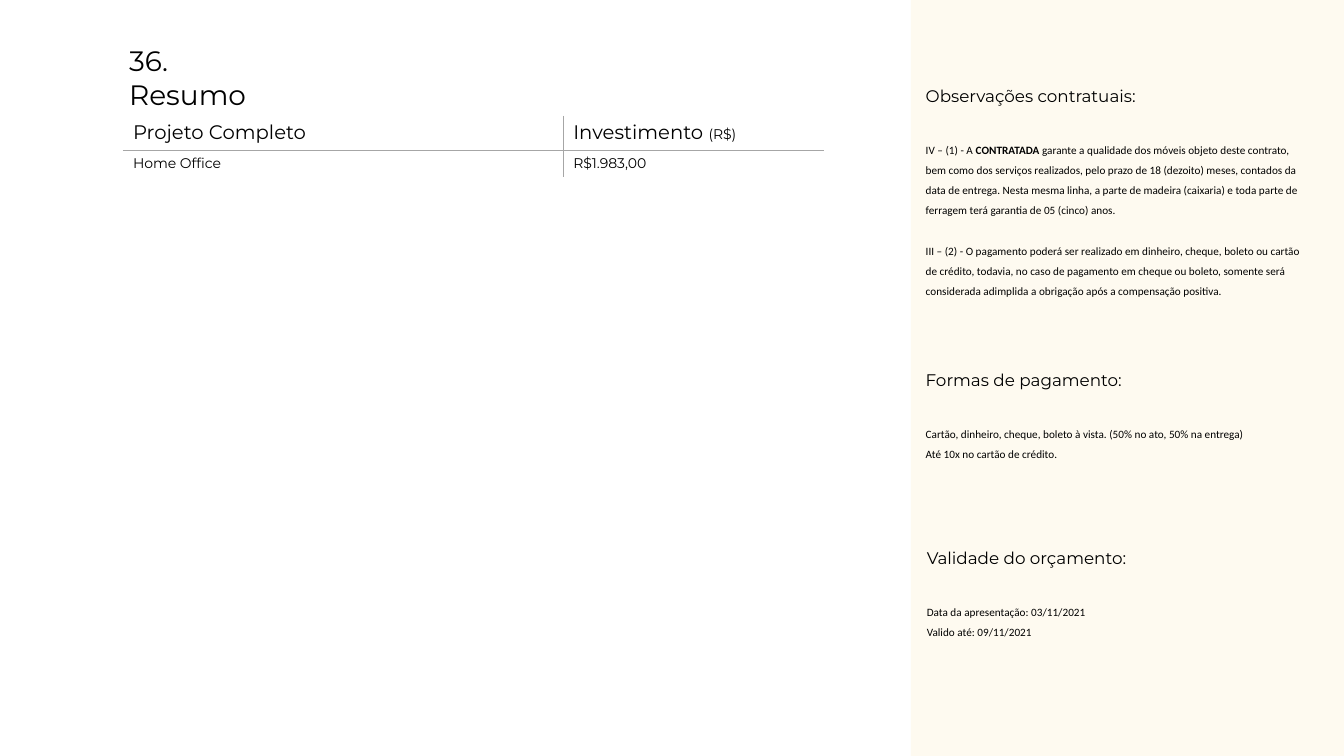
from lxml import etree
from pptx import Presentation
from pptx.dml.color import RGBColor
from pptx.enum.shapes import MSO_SHAPE
from pptx.enum.text import MSO_ANCHOR, MSO_AUTO_SIZE, PP_ALIGN
from pptx.oxml.ns import qn
from pptx.util import Inches, Pt

RECT = MSO_SHAPE.RECTANGLE
TOP, MIDDLE = MSO_ANCHOR.TOP, MSO_ANCHOR.MIDDLE
NO_FIT = MSO_AUTO_SIZE.NONE
LEFT = PP_ALIGN.LEFT

TITLE_ONLY = 5
HEAD_FONT, BODY_FONT = "Montserrat", "Calibri"
INK, CREAM, RULE = "000000", "FEFAF0", "A6A6A6"
PANEL_X = 67.77
NOTE_X, NOTE_W = 68.14, 30.06


def rgb(hex_code):
    """Turn a hex string into a colour."""
    return RGBColor.from_string(hex_code)


class Deck:
    """Hold the style and the current slide; lengths are percent of its size."""

    def __init__(self, prs):
        """Add a title-only slide."""
        self.prs = prs
        self.s = prs.slides.add_slide(prs.slide_layouts[TITLE_ONLY])

    def x(self, share):
        """Convert percent of the slide width to a length."""
        return round(self.prs.slide_width * share / 100)

    def y(self, share):
        """Convert percent of the slide height to a length."""
        return round(self.prs.slide_height * share / 100)

    def box(self, left, top, width, height):
        """Convert a frame given in percent."""
        return self.x(left), self.y(top), self.x(width), self.y(height)

    def run(self, p, text, size, font=HEAD_FONT, bold=False):
        """Append one formatted run."""
        r = p.add_run()
        r.text = text
        r.font.size, r.font.name, r.font.bold = Pt(size), font, bold
        r.font.color.rgb = rgb(INK)

    def frame(self, sp):
        """Set up a wrapping, top-anchored text frame."""
        tf = sp.text_frame
        tf.word_wrap = True
        tf.auto_size = NO_FIT
        tf.vertical_anchor = TOP
        return tf

    def title(self, text, *frame):
        """Place and format the title."""
        sp = self.s.shapes.title
        sp.left, sp.top, sp.width, sp.height = self.box(*frame)
        p = self.frame(sp).paragraphs[0]
        p.alignment = LEFT
        self.run(p, text, 20)

    def panel(self, fill, *frame):
        """Draw a plain filled rectangle."""
        sp = self.s.shapes.add_shape(RECT, *self.box(*frame))
        sp.shadow.inherit = False
        sp.fill.solid()
        sp.fill.fore_color.rgb = rgb(fill)
        sp.line.fill.background()

    def note(self, heading, paragraphs, left, top, height, gap=0):
        """Write a heading and body paragraphs made of (text, bold) runs."""
        sp = self.s.shapes.add_textbox(*self.box(left, top, NOTE_W, height))
        tf = self.frame(sp)
        p = tf.paragraphs[0]
        p.line_spacing, p.space_after = 1.5, Pt(22)
        self.run(p, heading, 12)
        for i, runs in enumerate(paragraphs):
            p = tf.add_paragraph()
            p.line_spacing = 1.5
            p.space_before = Pt(gap if i else 0)
            for text, bold in runs:
                self.run(p, text, 8, BODY_FONT, bold)

    def edge(self, cell, side, shown):
        """Draw or clear one cell border."""
        ln = etree.SubElement(cell._tc.get_or_add_tcPr(), qn(f"a:ln{side}"))
        if shown:
            ln.set("w", str(Pt(0.45)))
            fill = etree.SubElement(ln, qn("a:solidFill"))
            etree.SubElement(fill, qn("a:srgbClr"), val=RULE)
        else:
            etree.SubElement(ln, qn("a:noFill"))

    def table(self, rows, left, top, widths, heights):
        """Build a table of (text, size) runs, ruled on inner edges only."""
        frame = self.box(left, top, sum(widths), sum(heights))
        table = self.s.shapes.add_table(len(rows), len(widths), *frame).table
        table.first_row = table.horz_banding = False
        for column, width in zip(table.columns, widths):
            column.width = self.x(width)
        for i, row in enumerate(rows):
            table.rows[i].height = self.y(heights[i])
            for j, runs in enumerate(row):
                cell = table.cell(i, j)
                inner = {"L": j > 0, "R": j < len(row) - 1,
                         "T": i > 0, "B": i < len(rows) - 1}
                for side, shown in inner.items():
                    self.edge(cell, side, shown)
                cell.fill.background()
                cell.vertical_anchor = MIDDLE
                for text, size in runs:
                    self.run(cell.text_frame.paragraphs[0], text, size)


prs = Presentation()
prs.slide_width, prs.slide_height = Inches(13.34), Inches(7.5)
deck = Deck(prs)

deck.panel(CREAM, PANEL_X, 0, 100 - PANEL_X, 100)
deck.title("36. Resumo", 8.85, 5.07, 12.97, 5.87)
deck.table(
    [[[("Projeto Completo", 14)], [("Investimento ", 14), ("(R$)", 10)]],
     [[("Home Office", 10)], [("R$1.983,00", 10)]]],
    9.15, 15.33, widths=(32.76, 19.42), heights=(4.4, 3.6))

deck.note("Observações contratuais:", [
    [("IV – (1) - A ", False), ("CONTRATADA ", True),
     ("garante a qualidade dos móveis objeto deste contrato, bem como dos "
      "serviços realizados, pelo prazo de 18 (dezoito) meses, contados da data "
      "de entrega. Nesta mesma linha, a parte de madeira (caixaria) e toda "
      "parte de ferragem terá garantia de 05 (cinco) anos.", False)],
    [("III – (2) - O pagamento poderá ser realizado em dinheiro, cheque, boleto "
      "ou cartão de crédito, todavia, no caso de pagamento em cheque ou boleto, "
      "somente será considerada adimplida a obrigação após a compensação "
      "positiva.", False)],
], NOTE_X, 9.33, 36, gap=14.5)
deck.note("Formas de pagamento:", [
    [("Cartão, dinheiro, cheque, boleto à vista. "
      "(50% no ato, 50% na entrega)", False)],
    [("Até 10x no cartão de crédito.", False)],
], NOTE_X, 46.93, 17.33)
deck.note("Validade do orçamento:", [
    [("Data da apresentação: 03/11/2021", False)],
    [("Valido até: 09/11/2021", False)],
], 68.22, 70.4, 14.67)

prs.save("out.pptx")
